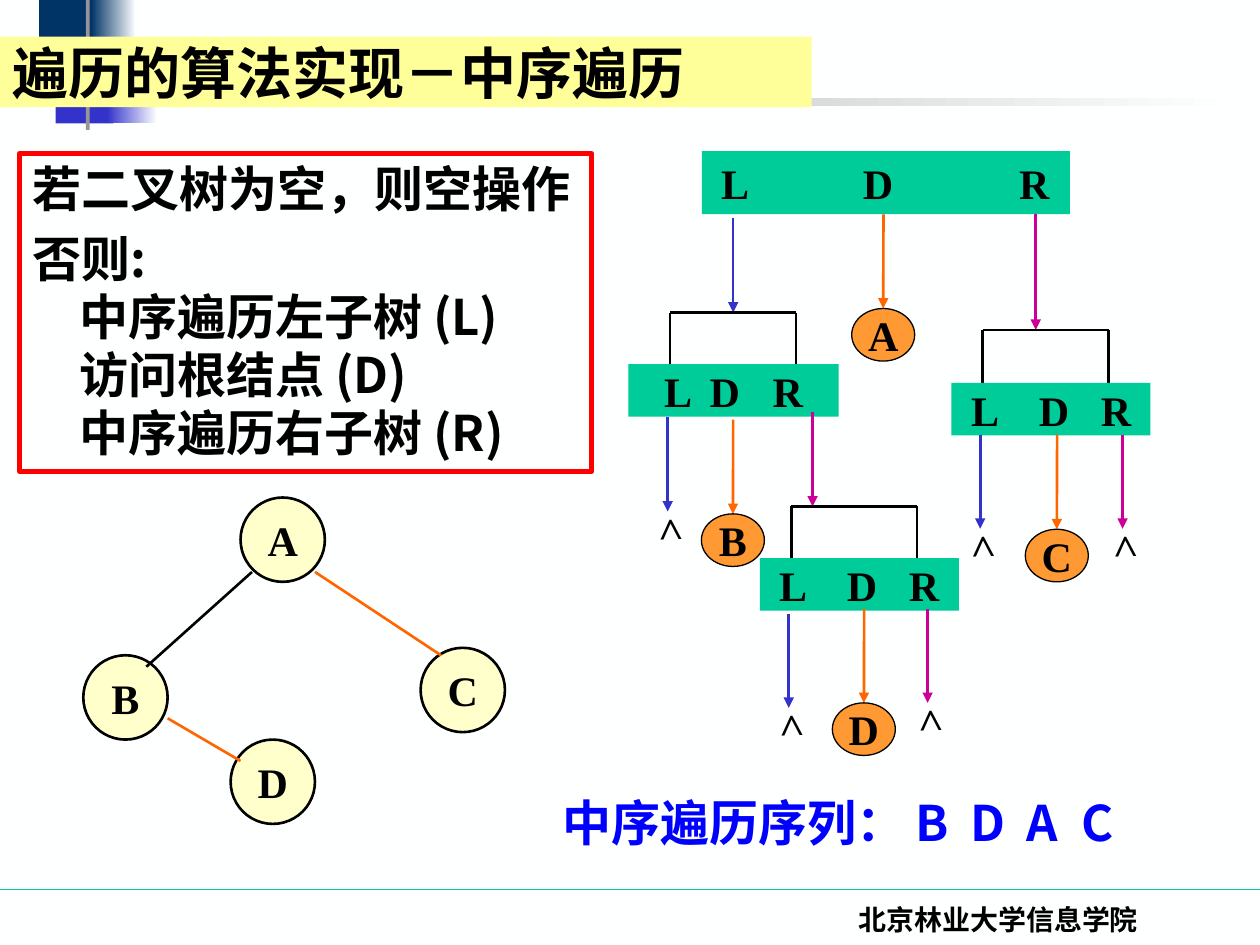
import dataclasses

import lxml.etree
import pptx
import pptx.dml.color
import pptx.enum.shapes
import pptx.enum.text
import pptx.oxml.ns
import pptx.util

Cm = pptx.util.Cm
Pt = pptx.util.Pt
SHAPE = pptx.enum.shapes.MSO_SHAPE
ALIGN = pptx.enum.text.PP_ALIGN
ANCHOR = pptx.enum.text.MSO_ANCHOR
qn = pptx.oxml.ns.qn


@dataclasses.dataclass(frozen=True)
class Theme:
    paper: str = "FEFFFF"
    ink: str = "000000"
    navy: str = "003366"
    indigo: str = "3333CC"
    grey: str = "969696"
    green: str = "00CC99"
    title_band: str = "FFFF99"
    frame: str = "FF0000"
    tree_node: str = "FFFFCC"
    visited: str = "FF9933"
    left_branch: str = "3333CC"
    visit: str = "FF6600"
    right_branch: str = "CC0099"
    answer: str = "0000FF"
    sans: str = "Noto Sans CJK SC"
    serif: str = "Times New Roman"
    title_size: int = 32
    text_size: int = 28
    label_size: int = 24
    footer_size: int = 16
    line_pitch: int = 33


class TraversalSlide:
    """Holds the theme and the slide being drawn; all lengths are in cm."""

    def __init__(self, slide, theme):
        self.slide = slide
        self.theme = theme
        fill = slide.background.fill
        fill.solid()
        fill.fore_color.rgb = self.rgb(theme.paper)

    @staticmethod
    def rgb(value):
        return pptx.dml.color.RGBColor.from_string(value)

    def paint(self, shape, fill=None, line=None, width=0.75):
        if fill:
            shape.fill.solid()
            shape.fill.fore_color.rgb = self.rgb(fill)
        else:
            shape.fill.background()
        if line:
            shape.line.color.rgb = self.rgb(line)
            shape.line.width = Pt(width)
        else:
            shape.line.fill.background()

    def label(self, shape, text, size, font, color=None, align=ALIGN.LEFT, anchor=ANCHOR.MIDDLE):
        frame = shape.text_frame
        frame.text = text
        frame.word_wrap = True
        frame.auto_size = pptx.enum.text.MSO_AUTO_SIZE.NONE
        frame.vertical_anchor = anchor
        for paragraph in frame.paragraphs:
            paragraph.alignment = align
            for run in paragraph.runs:
                run.font.size = Pt(size)
                run.font.bold = True
                run.font.name = font
                run.font.color.rgb = self.rgb(color or self.theme.ink)
                if font == self.theme.sans:
                    latin = run.font._element.find(qn("a:latin"))
                    latin.addnext(latin.makeelement(qn("a:ea"), {"typeface": font}))
        return frame

    def tab_stops(self, paragraph, stops, align):
        tabs = lxml.etree.SubElement(paragraph._p.get_or_add_pPr(), qn("a:tabLst"))
        for stop in stops:
            lxml.etree.SubElement(tabs, qn("a:tab"), pos=str(int(Cm(stop))), algn=align)

    def shape(self, kind, x, y, w, h, fill=None, line=None, width=0.75):
        shape = self.slide.shapes.add_shape(kind, Cm(x), Cm(y), Cm(w), Cm(h))
        shape.shadow.inherit = False
        self.paint(shape, fill, line, width)
        return shape

    def fade(self, x, y, w, h, color):
        """Draw a block that fades from the colour into the background."""
        shape = self.shape(SHAPE.RECTANGLE, x, y, w, h)
        shape.fill.gradient()
        shape.fill.gradient_angle = 0
        for stop, shade in zip(shape.fill.gradient_stops, (color, self.theme.paper)):
            stop.color.rgb = self.rgb(shade)

    def placeholder(self, holder, x, y, w, h):
        """Move a placeholder and bring it in front of what is already drawn."""
        holder.left, holder.top, holder.width, holder.height = Cm(x), Cm(y), Cm(w), Cm(h)
        self.slide.shapes._spTree.append(holder._element)
        return holder

    def text(self, x, y, w, h, text, size, font, color=None, align=ALIGN.LEFT):
        box = self.slide.shapes.add_textbox(Cm(x), Cm(y), Cm(w), Cm(h))
        self.label(box, text, size, font, color, align, ANCHOR.TOP)
        return box

    def line(self, x1, y1, x2, y2, color, width=1.5, arrow=False):
        line = self.slide.shapes.add_connector(
            pptx.enum.shapes.MSO_CONNECTOR.STRAIGHT, Cm(x1), Cm(y1), Cm(x2), Cm(y2))
        line.line.color.rgb = self.rgb(color)
        line.line.width = Pt(width)
        if arrow:
            lxml.etree.SubElement(line.line._get_or_add_ln(), qn("a:tailEnd"), type="triangle")
        lxml.etree.SubElement(line._element.spPr, qn("a:effectLst"))
        return line

    def node(self, letter, x, y, w, h, fill, width):
        node = self.shape(SHAPE.OVAL, x, y, w, h, fill, self.theme.ink, width)
        node.text_frame.margin_left = node.text_frame.margin_right = 0
        self.label(node, letter, self.theme.label_size, self.theme.serif, align=ALIGN.CENTER)
        return node

    def call(self, x, y, w, h, letters):
        """Draw one recursive call: a bar with L, D and R centred at the given x."""
        bar = self.shape(SHAPE.RECTANGLE, x, y, w, h, self.theme.green)
        frame = self.label(bar, "\tL\tD\tR", self.theme.label_size, self.theme.serif)
        frame.margin_left = frame.margin_right = 0
        self.tab_stops(frame.paragraphs[0], [letter - x for letter in letters], "ctr")

    def bracket(self, x, top, bottom, span=2.54):
        ink = self.theme.ink
        self.line(x, top, x + span, top, ink)
        for side in (x, x + span):
            self.line(side, top, side, bottom, ink)

    def visit(self, letter, x, top, bottom):
        arrow = self.line(x, top, x, bottom, self.theme.visit, arrow=True)
        node = self.node(letter, x - 0.64, bottom, 1.27, 1.06, self.theme.visited, 0.75)
        arrow.end_connect(node, 0)

    def empty(self, x, top, color):
        """Draw an arrow to an empty subtree, marked by a turned > sign."""
        self.line(x, top, x, top + 1.9, color, arrow=True)
        mark = self.text(x - 0.53, top + 1.59, 1.07, 1.27, ">",
                         self.theme.label_size, self.theme.serif)
        mark.rotation = 268.3


def draw_frame(page):
    theme = page.theme
    page.line(0, 17.93, 25.4, 17.93, theme.green, 0.75)
    page.shape(SHAPE.RECTANGLE, 0.79, 0, 1.22, 1.32, theme.navy)
    page.fade(1.83, 0, 0.91, 1.32, theme.navy)
    page.shape(SHAPE.RECTANGLE, 1.12, 1.17, 1.17, 1.32, theme.indigo)
    page.fade(2.16, 1.17, 1.01, 1.32, theme.indigo)
    page.shape(SHAPE.RECTANGLE, 1.73, 0, 0.08, 2.62, theme.grey)
    page.fade(0.84, 1.98, 24.15, 0.15, theme.grey)
    page.text(14.88, 18.06, 10.5, 0.99, "北京林业大学信息学院",
              theme.footer_size, theme.serif, align=ALIGN.CENTER)


def draw_texts(page):
    theme = page.theme
    title = page.placeholder(page.slide.shapes.title, 0, 0.74, 16.36, 1.42)
    page.paint(title, theme.title_band)
    page.label(title, "遍历的算法实现－中序遍历", theme.title_size, theme.sans)

    steps = page.placeholder(page.slide.placeholders[1], 0.4, 3.1, 11.53, 6.4)
    page.paint(steps, None, theme.frame, 3)
    rules = "若二叉树为空，则空操作\n否则:\v中序遍历左子树 (L)\v访问根结点 (D)\v中序遍历右子树 (R)"
    frame = page.label(steps, rules, theme.text_size, theme.sans, anchor=ANCHOR.TOP)
    for paragraph in frame.paragraphs:
        paragraph.space_before = Pt(7)
        paragraph.line_spacing = Pt(theme.line_pitch)
        properties = paragraph._p.get_or_add_pPr()
        properties.set("marL", str(int(Cm(0.95))))
        properties.set("indent", str(int(Cm(-0.95))))
        lxml.etree.SubElement(properties, qn("a:buNone"))

    answer = page.text(11.1, 15.88, 13.39, 2, "中序遍历序列：\tB\tD\tA\tC",
                       theme.text_size, theme.sans, theme.answer)
    order = answer.text_frame.paragraphs[0]
    order.line_spacing = Pt(theme.line_pitch)
    page.tab_stops(order, [7.1 + 1.12 * step for step in range(4)], "l")


def draw_tree(page):
    theme = page.theme
    for letter, x, y in (("A", 4.85, 10.03), ("D", 4.65, 14.91),
                         ("B", 1.68, 13.21), ("C", 8.48, 13.06)):
        page.node(letter, x, y, 1.7, 1.7, theme.tree_node, 1.5)
    page.line(5.08, 11.53, 2.95, 13.44, theme.ink)
    page.line(6.35, 11.53, 8.89, 13.21, theme.visit)
    page.line(3.38, 14.48, 4.85, 15.34, theme.visit)


def draw_calls(page):
    theme = page.theme
    page.call(14.15, 3.05, 7.42, 1.27, (14.82, 17.7, 20.85))
    page.line(14.78, 4.39, 14.78, 6.3, theme.left_branch, arrow=True)
    page.visit("A", 17.81, 4.32, 6.22)
    page.line(20.88, 4.32, 20.88, 6.65, theme.right_branch, arrow=True)

    page.bracket(13.51, 6.3, 7.34)
    page.call(12.67, 7.34, 4.24, 1.06, (13.67, 14.61, 15.88))
    page.empty(13.46, 8.41, theme.left_branch)
    page.visit("B", 14.78, 8.46, 10.36)
    page.line(16.38, 8.31, 16.38, 10.21, theme.right_branch, arrow=True)

    page.bracket(19.81, 6.65, 7.72)
    page.call(19.18, 7.72, 4.01, 1.06, (19.86, 21.25, 22.5))
    page.empty(19.76, 8.76, theme.left_branch)
    page.visit("C", 21.31, 8.76, 10.67)
    page.empty(22.63, 8.76, theme.right_branch)

    page.bracket(15.95, 10.21, 11.25)
    page.call(15.32, 11.25, 4.01, 1.06, (15.99, 17.38, 18.63))
    page.empty(15.9, 12.37, theme.left_branch)
    page.visit("D", 17.42, 12.27, 14.17)
    page.empty(18.7, 12.27, theme.right_branch)


def main():
    deck = pptx.Presentation()
    deck.slide_width, deck.slide_height = Cm(25.4), Cm(19.05)
    page = TraversalSlide(deck.slides.add_slide(deck.slide_layouts[1]), Theme())
    draw_frame(page)
    draw_texts(page)
    draw_tree(page)
    draw_calls(page)
    deck.save("out.pptx")


if __name__ == "__main__":
    main()
